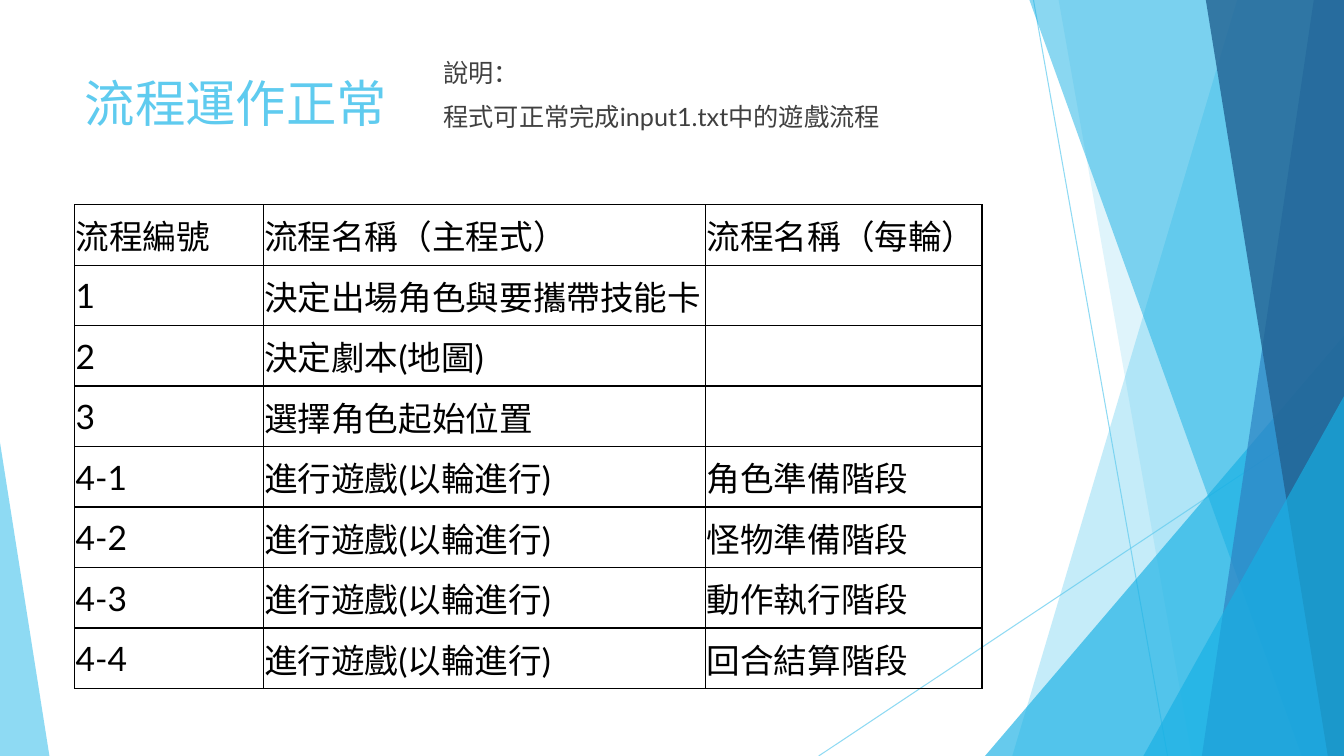
import pptx
import pptx.dml.color
import pptx.enum.shapes
import pptx.enum.text
import pptx.oxml.ns
import pptx.util
from lxml import etree

Inches = pptx.util.Inches
Pt = pptx.util.Pt
qn = pptx.oxml.ns.qn
ANCHOR = pptx.enum.text.MSO_ANCHOR
ALIGN = pptx.enum.text.PP_ALIGN

PAGE_WIDTH, PAGE_HEIGHT = 13.33, 7.5
FONT = "Lato"
SKY, CYAN, BLUE, NAVY = "5FCBEF", "17B0E4", "2E83C3", "226292"

# Each band fills from its slanted left edge to the page's right edge:
# x at the top, x at the bottom, colour, opacity in percent.
BACK_BANDS = [(12.27, 10.04, SKY, 36), (10.5, 11.82, SKY, 20)]
FRONT_BANDS = [
    (10.21, 12.91, CYAN, 50),
    (13.03, 11.92, BLUE, 70),
    (11.96, 13.17, NAVY, 80),
]

COLUMN_WIDTHS = [1.87, 4.39, 2.74]
ROUND_STEP = "進行遊戲(以輪進行)"
STEPS = [
    ("流程編號", "流程名稱（主程式）", "流程名稱（每輪）"),
    ("1", "決定出場角色與要攜帶技能卡", ""),
    ("2", "決定劇本(地圖)", ""),
    ("3", "選擇角色起始位置", ""),
    ("4-1", ROUND_STEP, "角色準備階段"),
    ("4-2", ROUND_STEP, "怪物準備階段"),
    ("4-3", ROUND_STEP, "動作執行階段"),
    ("4-4", ROUND_STEP, "回合結算階段"),
]


def color(hex_string):
    return pptx.dml.color.RGBColor.from_string(hex_string)


def set_opacity(fill_owner, percent):
    """Make every solid colour inside the shape's properties translucent."""
    for value in fill_owner.element.spPr.iter(qn("a:srgbClr")):
        etree.SubElement(value, qn("a:alpha"), val=str(percent * 1000))


def write(frame, text, size=18, fill="000000", align=None, before=0):
    """Fill a text frame, one paragraph for each line of text."""
    for index, line in enumerate(text.split("\n")):
        para = frame.paragraphs[0] if index == 0 else frame.add_paragraph()
        para.alignment = align
        para.space_before = Pt(before)
        span = para.add_run()
        span.text = line
        span.font.name = FONT
        span.font.size = Pt(size)
        span.font.color.rgb = color(fill)


def paint(shape, fill, opacity):
    shape.shadow.inherit = False
    shape.fill.solid()
    shape.fill.fore_color.rgb = color(fill)
    shape.line.fill.background()
    set_opacity(shape, opacity)


def add_band(page, top_x, bottom_x, fill, opacity):
    builder = page.shapes.build_freeform(Inches(top_x), 0)
    corners = [(PAGE_WIDTH, 0), (PAGE_WIDTH, PAGE_HEIGHT), (bottom_x, PAGE_HEIGHT)]
    builder.add_line_segments([(Inches(x), Inches(y)) for x, y in corners], close=True)
    paint(builder.convert_to_shape(), fill, opacity)


def add_corner(page, left, top, width, apex, fill, opacity):
    """Add a triangle standing on the page's bottom edge."""
    shape = page.shapes.add_shape(
        pptx.enum.shapes.MSO_SHAPE.ISOSCELES_TRIANGLE,
        Inches(left), Inches(top), Inches(width), Inches(PAGE_HEIGHT - top))
    shape.adjustments[0] = apex
    paint(shape, fill, opacity)


def add_thin_line(page, start, end):
    line = page.shapes.add_connector(
        pptx.enum.shapes.MSO_CONNECTOR.STRAIGHT,
        *(Inches(value) for value in (*start, *end)))
    line.line.color.rgb = color(SKY)
    line.line.width = Pt(0.75)
    set_opacity(line, 70)
    etree.SubElement(line.element.spPr, qn("a:effectLst"))


def add_facets(page):
    add_thin_line(page, (10.25, 0), (11.58, PAGE_HEIGHT))
    add_thin_line(page, (PAGE_WIDTH, 4.03), (8.12, PAGE_HEIGHT))
    for band in BACK_BANDS:
        add_band(page, *band)
    add_corner(page, 9.77, 3.33, 3.56, 1, CYAN, 66)
    for band in FRONT_BANDS:
        add_band(page, *band)
    add_corner(page, 11.34, 3.93, 1.99, 1, CYAN, 66)
    add_corner(page, 0, 4.39, 0.49, 0, SKY, 70)


def add_title(page, left, top, width, height):
    title = page.shapes.title
    title.left, title.top = Inches(left), Inches(top)
    title.width, title.height = Inches(width), Inches(height)
    title.text_frame.vertical_anchor = ANCHOR.TOP
    write(title.text_frame, "流程運作正常", size=36, fill=SKY, align=ALIGN.LEFT)


def add_explanation(page, left, top, width, height):
    box = page.shapes.add_textbox(
        Inches(left), Inches(top), Inches(width), Inches(height))
    box.text_frame.word_wrap = True
    write(box.text_frame, "說明：\n程式可正常完成input1.txt中的遊戲流程",
          fill="404040", align=ALIGN.JUSTIFY, before=10)


def add_borders(cell):
    properties = cell._tc.get_or_add_tcPr()
    for index, side in enumerate(("a:lnL", "a:lnR", "a:lnT", "a:lnB")):
        border = etree.Element(qn(side), w=str(Pt(1)))
        fill = etree.SubElement(border, qn("a:solidFill"))
        etree.SubElement(fill, qn("a:srgbClr"), val="000000")
        properties.insert(index, border)


def add_step_table(page, left, top, width, height):
    table = page.shapes.add_table(
        len(STEPS), len(COLUMN_WIDTHS),
        Inches(left), Inches(top), Inches(width), Inches(height)).table
    table.first_row = table.horz_banding = False
    for column, column_width in zip(table.columns, COLUMN_WIDTHS):
        column.width = Inches(column_width)
    for row, texts in enumerate(STEPS):
        for column, text in enumerate(texts):
            cell = table.cell(row, column)
            cell.fill.background()
            cell.vertical_anchor = ANCHOR.MIDDLE
            cell.margin_left = cell.margin_right = cell.margin_top = Inches(0.01)
            cell.margin_bottom = 0
            add_borders(cell)
            if text:
                write(cell.text_frame, text, size=24)


def main():
    deck = pptx.Presentation()
    deck.slide_width, deck.slide_height = Inches(PAGE_WIDTH), Inches(PAGE_HEIGHT)
    page = deck.slides.add_slide(deck.slide_layouts[5])
    add_facets(page)
    add_title(page, 0.74, 0.67, 9.4, 1.44)
    add_explanation(page, 4.3, 0.52, 6.54, 1.02)
    add_step_table(page, 0.74, 2.03, sum(COLUMN_WIDTHS), 0.6 * len(STEPS))
    deck.save("out.pptx")


if __name__ == "__main__":
    main()
